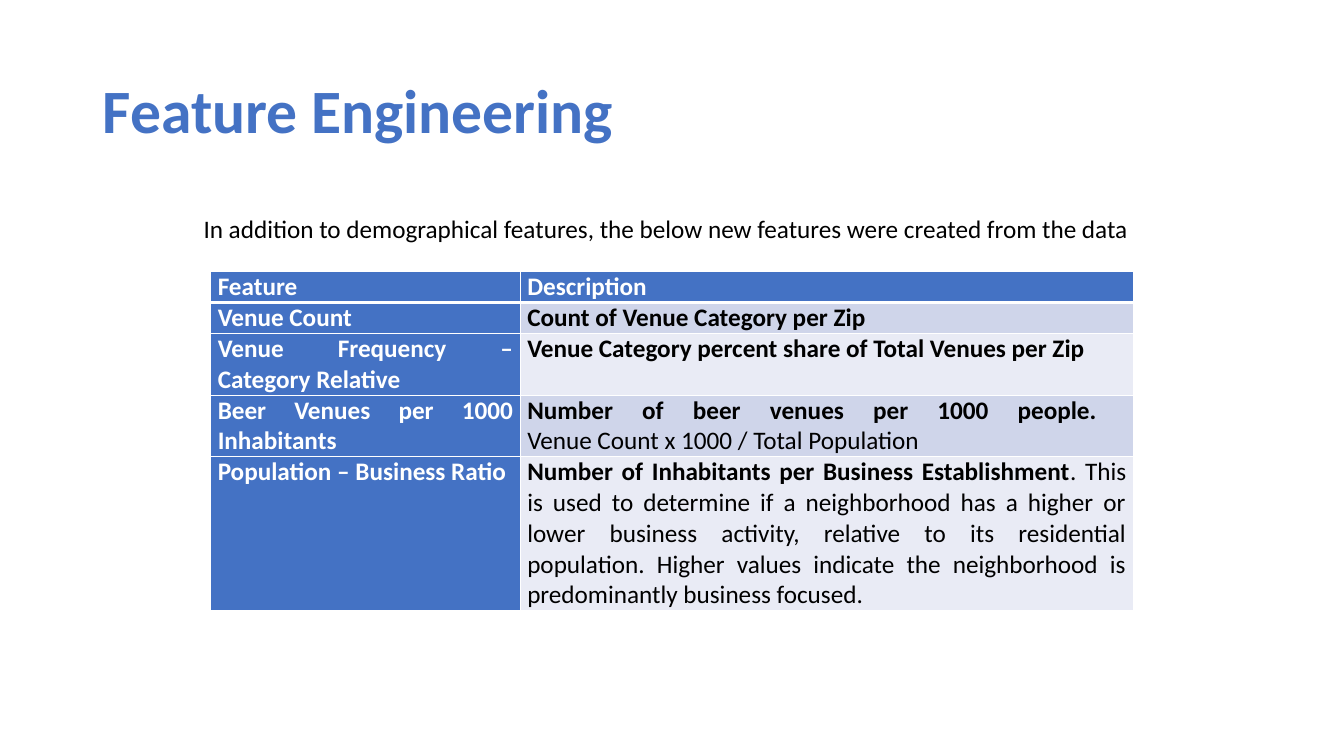
import pptx
import pptx.util
import pptx.dml.color
import pptx.enum.text
import pptx.oxml
import pptx.oxml.ns
from lxml import etree

Inches = pptx.util.Inches
RGBColor = pptx.dml.color.RGBColor
ALIGN = pptx.enum.text.PP_ALIGN
ANCHOR = pptx.enum.text.MSO_ANCHOR

BLUE = RGBColor(0x44, 0x72, 0xC4)
BAND_DARK = RGBColor(0xCF, 0xD5, 0xEA)
BAND_LIGHT = RGBColor(0xE9, 0xEB, 0xF5)
WHITE = RGBColor(0xFF, 0xFF, 0xFF)
BLACK = RGBColor(0x00, 0x00, 0x00)

# Each description is a bold lead, then plain text
FEATURES = [
    ("Feature", "Description", ""),
    ("Venue Count", "Count of Venue Category per Zip", ""),
    ("Venue Frequency – Category Relative",
     "Venue Category percent share of Total Venues per Zip", ""),
    ("Beer Venues per 1000 Inhabitants",
     "Number of beer venues per 1000 people. \n",
     "Venue Count x 1000 / Total Population"),
    ("Population – Business Ratio",
     "Number of Inhabitants per Business Establishment",
     ". This is used to determine if a neighborhood has a higher or lower "
     "business activity, relative to its residential population. Higher values "
     "indicate the neighborhood is predominantly business focused."),
]
COLUMN_WIDTHS = [3.07, 6.08]
ROW_HEIGHTS = [0.31, 0.31, 0.61, 0.61, 1.53]


class FeatureSlide:
    font = "Calibri"
    body_size = 18

    def __init__(self, deck):
        self.page = deck.slides.add_slide(deck.slide_layouts[5])

    def span(self, para, text, color, size=body_size, bold=False):
        line, *rest = text.split("\n")
        span = para.add_run()
        span.text = line
        span.font.name = self.font
        span.font.size = pptx.util.Pt(size)
        span.font.bold = bold
        span.font.color.rgb = color
        for _ in rest:
            para.add_line_break()

    def title(self, text, left, top, width, height):
        box = self.page.shapes.title
        box.left, box.top = Inches(left), Inches(top)
        box.width, box.height = Inches(width), Inches(height)
        box.text_frame.vertical_anchor = ANCHOR.MIDDLE
        para = box.text_frame.paragraphs[0]
        para.alignment = ALIGN.LEFT
        para.line_spacing = 0.9
        self.span(para, text, BLUE, 44, True)

    def text(self, text, left, top, width, height):
        box = self.page.shapes.add_textbox(
            Inches(left), Inches(top), Inches(width), Inches(height))
        box.text_frame.word_wrap = False
        box.text_frame.auto_size = pptx.enum.text.MSO_AUTO_SIZE.SHAPE_TO_FIT_TEXT
        self.span(box.text_frame.paragraphs[0], text, BLACK)

    def borders(self, cell, top, bottom):
        properties = cell._tc.get_or_add_tcPr()
        widths = {"lnL": 1, "lnR": 1, "lnT": top, "lnB": bottom}
        for place, (side, width) in enumerate(widths.items()):
            line = etree.Element(pptx.oxml.ns.qn("a:" + side),
                                 w=str(pptx.util.Pt(width)))
            fill = etree.SubElement(line, pptx.oxml.ns.qn("a:solidFill"))
            etree.SubElement(fill, pptx.oxml.ns.qn("a:srgbClr"), val=str(WHITE))
            properties.insert(place, line)

    def cell(self, cell, spans, fill, color, row):
        cell.margin_left = cell.margin_right = Inches(0.07)
        cell.margin_top = cell.margin_bottom = 0
        cell.fill.solid()
        cell.fill.fore_color.rgb = fill
        para = cell.text_frame.paragraphs[0]
        para.alignment = ALIGN.JUSTIFY
        for text, bold in spans:
            if text:
                self.span(para, text, color, bold=bold)
        self.borders(cell, 3 if row == 1 else 1, 3 if row == 0 else 1)

    def table(self, rows, left, top, widths, heights):
        table = self.page.shapes.add_table(
            len(rows), len(widths), Inches(left), Inches(top),
            Inches(sum(widths)), Inches(sum(heights))).table
        for column, width in zip(table.columns, widths):
            column.width = Inches(width)
        for index, (feature, lead, detail) in enumerate(rows):
            table.rows[index].height = Inches(heights[index])
            band = BAND_DARK if index % 2 else BAND_LIGHT
            fill, color = (band, BLACK) if index else (BLUE, WHITE)
            self.cell(table.cell(index, 0), [(feature, True)], BLUE, WHITE, index)
            self.cell(table.cell(index, 1), [(lead, True), (detail, False)],
                      fill, color, index)


def main():
    deck = pptx.Presentation()
    deck.slide_width, deck.slide_height = Inches(13.33), Inches(7.5)
    slide = FeatureSlide(deck)

    # Heading
    slide.title("Feature Engineering", 0.92, 0.4, 11.5, 1.45)

    # Feature table
    slide.table(FEATURES, 2.09, 2.69, COLUMN_WIDTHS, ROW_HEIGHTS)

    # Introduction above the table
    slide.text("In addition to demographical features, the below new features "
               "were created from the data", 1.92, 2.07, 9.49, 0.4)

    deck.save("out.pptx")


if __name__ == "__main__":
    main()
